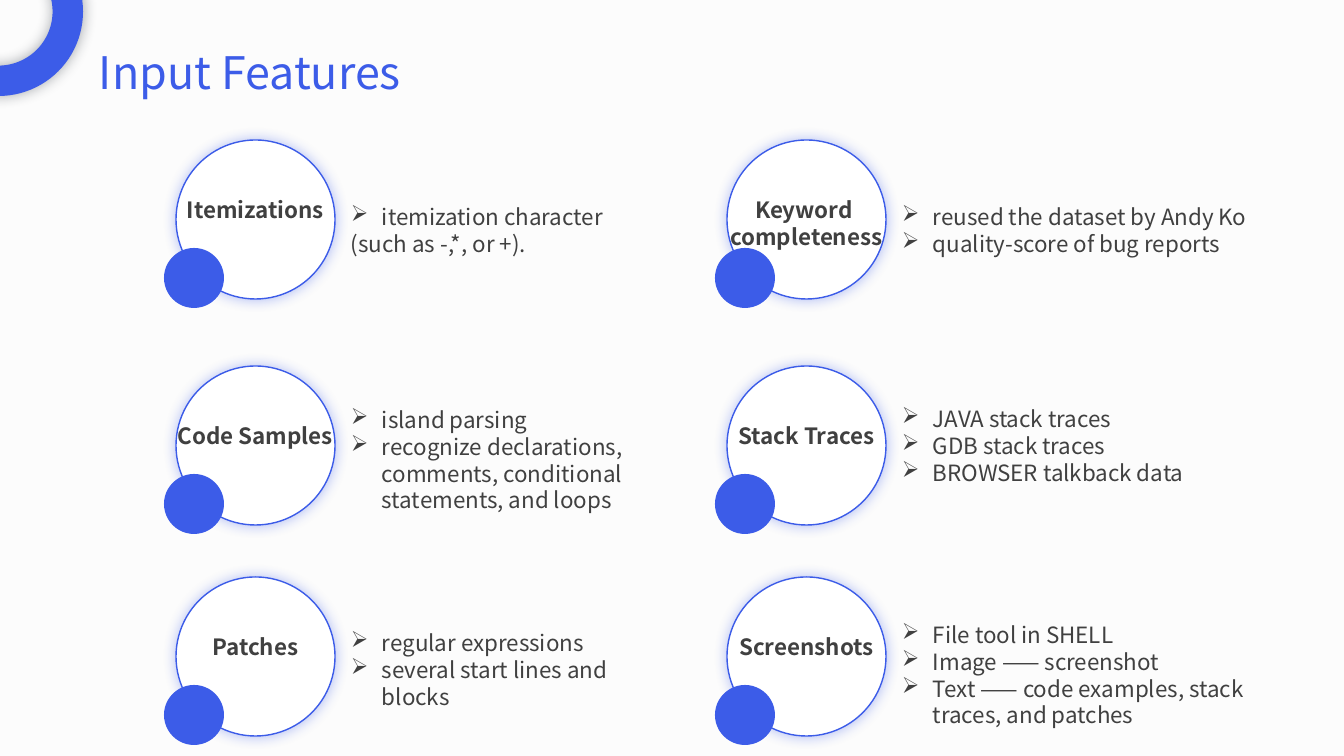
from lxml import etree
from pptx import Presentation
from pptx import util as u
from pptx.dml.color import RGBColor
from pptx.enum import shapes, text
from pptx.oxml import ns

PX = 914400 / 100.8
FONT = "Noto Sans CJK SC"
COLORS = {"blue": "3C5CE8", "ink": "404040", "white": "FFFFFF",
          "navy": "222A35", "back": "FCFCFC"}
INDENT = 31


def add_round(preset, x, y, size, fill, line=None, glow=None):
    """Add a round shape, optionally outlined and with a soft centred shadow."""
    sp = s.shapes.add_shape(preset, *[round(v * PX) for v in (x, y, size, size)])
    sp.shadow.inherit = False
    sp.fill.solid()
    sp.fill.fore_color.rgb = RGBColor.from_string(COLORS[fill])
    if line:
        sp.line.color.rgb = RGBColor.from_string(COLORS[line])
        sp.line.width = u.Pt(1)
    else:
        sp.line.fill.background()
    if glow:
        effects = sp._element.spPr.find(ns.qn("a:effectLst"))
        shadow = etree.SubElement(effects, ns.qn("a:outerShdw"), blurRad=str(u.Pt(10)),
                                  dist="0", dir="0", algn="ctr", rotWithShape="0")
        color = etree.SubElement(shadow, ns.qn("a:srgbClr"), val=COLORS[glow])
        etree.SubElement(color, ns.qn("a:alpha"), val="40000")
    return sp


def add_text(x, y, w, h, lines, size=16, color="ink", bold=False, wrap=True, align=None):
    """Add a text box; lines that start with the arrow mark become bullets."""
    box = s.shapes.add_textbox(*[round(v * PX) for v in (x, y, w, h)])
    tf = box.text_frame
    tf.word_wrap = wrap
    for i, line in enumerate(lines):
        p = tf.paragraphs[0] if i == 0 else tf.add_paragraph()
        p.alignment = align
        p.line_spacing = u.Pt(size * 1.2)
        if line.startswith("➢"):
            pPr = p._p.get_or_add_pPr()
            pPr.set("marL", str(round(INDENT * PX)))
            pPr.set("indent", str(round(-INDENT * PX)))
            etree.SubElement(pPr, ns.qn("a:buChar"), char="➢")
        r = p.add_run()
        r.text = line.removeprefix("➢")
        r.font.name = FONT
        r.font.size = u.Pt(size)
        r.font.bold = bold
        r.font.color.rgb = RGBColor.from_string(COLORS[color])
        etree.SubElement(r._r.rPr, ns.qn("a:ea"), typeface=FONT)


prs = Presentation()
prs.slide_width = round(1344 * PX)
prs.slide_height = round(756 * PX)
s = prs.slides.add_slide(prs.slide_layouts[6])
s.background.fill.solid()
s.background.fill.fore_color.rgb = RGBColor.from_string(COLORS["back"])

ring = add_round(shapes.MSO_SHAPE.DONUT, -86, -73, 169, "blue", glow="navy")
ring.adjustments[0] = 0.18
add_text(89, 40, 466, 65, ["Input Features"], size=32, color="blue")

COLUMN_X = [176, 727]
ROW_Y = [140, 366, 577]
CIRCLE, DOT, LABEL_W = 159, 60, 180

# column, row, label lines, detail top, detail width, detail height, detail lines
features = [
    (0, 0, ["Itemizations"], 198, 323, 64,
     ["➢itemization character", "(such as -,*, or +)."]),
    (0, 1, ["Code Samples"], 401, 301, 118,
     ["➢island parsing",
      "➢recognize declarations, comments, conditional statements, and loops"]),
    (1, 0, ["Keyword ", "completeness"], 198, 393, 64,
     ["➢reused the dataset by Andy Ko", "➢quality-score of bug reports"]),
    (1, 1, ["Stack Traces"], 400, 427, 91,
     ["➢JAVA stack traces", "➢GDB stack traces", "➢BROWSER talkback data"]),
    (0, 2, ["Patches"], 624, 301, 91,
     ["➢regular expressions", "➢several start lines and blocks"]),
    (1, 2, ["Screenshots"], 616, 393, 118,
     ["➢File tool in SHELL", "➢Image —— screenshot",
      "➢Text —— code examples, stack traces, and patches"]),
]

for col, row, label, top, width, height, details in features:
    x, y = COLUMN_X[col], ROW_Y[row]
    add_round(shapes.MSO_SHAPE.OVAL, x, y, CIRCLE, "white", line="blue", glow="blue")
    add_round(shapes.MSO_SHAPE.OVAL, x - 12, y + 108, DOT, "blue")
    add_text(x + (CIRCLE - LABEL_W) / 2, y + 51, LABEL_W, 10 + 27 * len(label), label,
             bold=True, wrap=False, align=text.PP_ALIGN.CENTER)
    add_text(x + 165, top, width, height, details)

prs.save("out.pptx")
